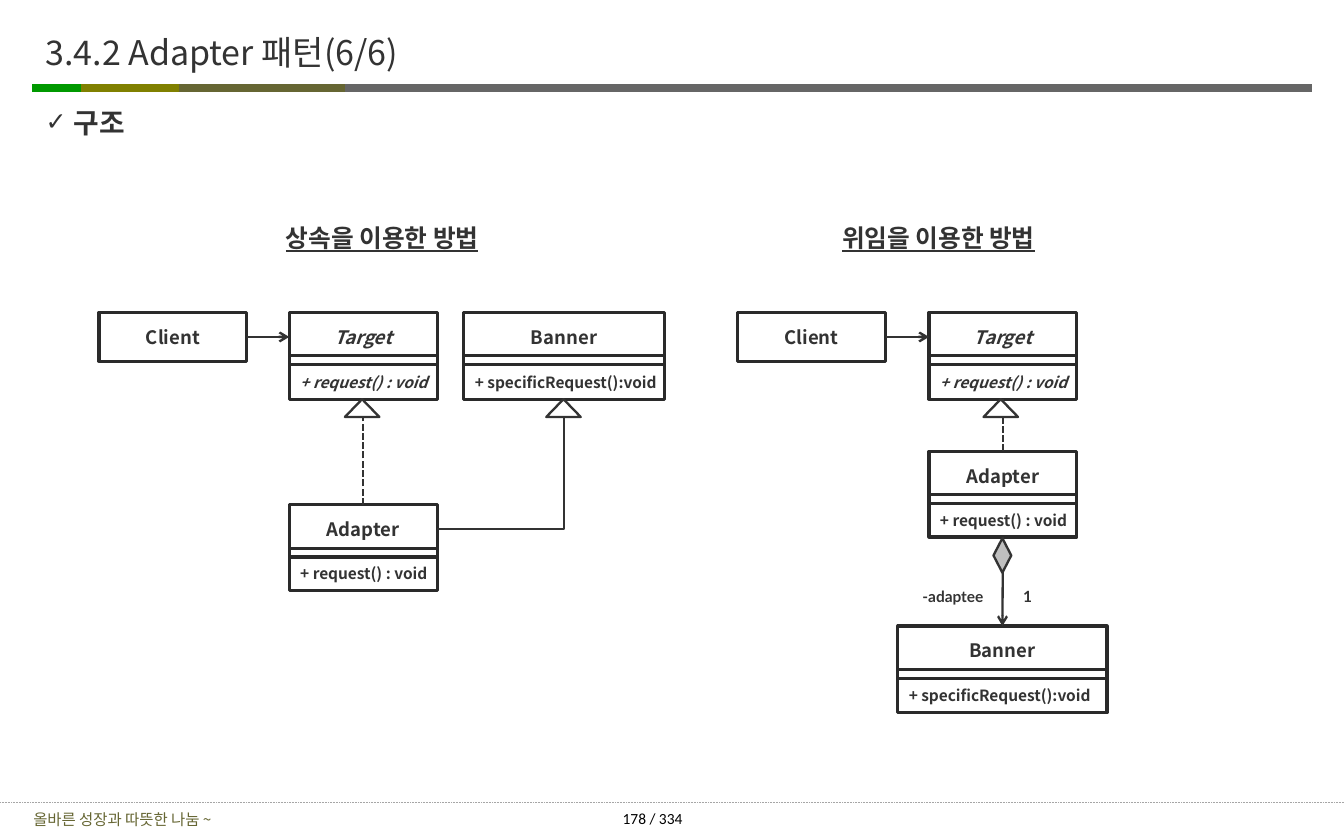
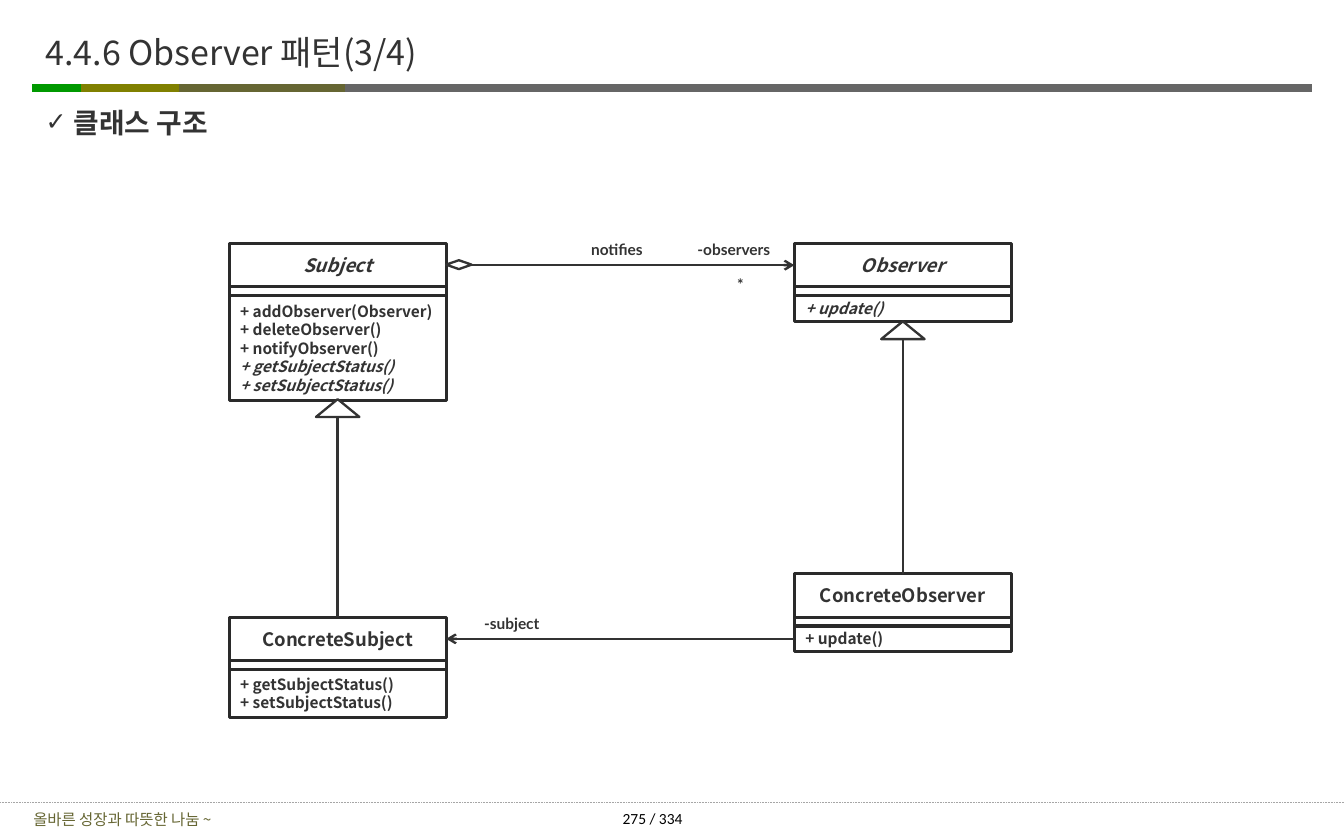
from lxml import etree
from pptx import Presentation, util as u
from pptx.dml.color import RGBColor
from pptx.enum import dml, shapes, text
from pptx.oxml.ns import qn

PX = 9144  # 100 px to the inch
KR, LATO = "Noto Sans CJK KR", "Lato"
INK, BORDER, WHITE, OLIVE = "333333", "2A2A2A", "FFFFFF", "666633"
LEFT, CENTER = text.PP_ALIGN.LEFT, text.PP_ALIGN.CENTER
RECT, TRIANGLE = shapes.MSO_SHAPE.RECTANGLE, shapes.MSO_SHAPE.ISOSCELES_TRIANGLE
DIAMOND, DECISION = shapes.MSO_SHAPE.DIAMOND, shapes.MSO_SHAPE.FLOWCHART_DECISION
DASH, DOT = dml.MSO_LINE.SQUARE_DOT, dml.MSO_LINE.ROUND_DOT
TOP, WEST, BOTTOM, EAST = range(4)
rgb = RGBColor.from_string


def write(sp, lines, size=10, font=KR, color=INK, bold=True, italic=False, underline=False,
          align=CENTER, anchor=text.MSO_ANCHOR.MIDDLE, wrap=False, inset=None,
          spacing=None, bullet=None):
    """Fill a shape with one paragraph per line; a leading "/" makes a line italic."""
    tf = sp.text_frame
    tf.word_wrap, tf.vertical_anchor = wrap, anchor
    tf.auto_size = text.MSO_AUTO_SIZE.NONE
    if inset is not None:
        tf.margin_left = tf.margin_right = tf.margin_top = tf.margin_bottom = inset * PX
    for i, line in enumerate(lines):
        p = tf.add_paragraph() if i else tf.paragraphs[0]
        p.alignment, p.space_before = align, u.Pt(0)
        if spacing:
            p.line_spacing = u.Pt(spacing)
        if bullet:
            pPr = p._p.get_or_add_pPr()
            pPr.set("marL", str(25 * PX))
            pPr.set("indent", str(-25 * PX))
            clr = etree.SubElement(pPr, qn("a:buClr"))
            etree.SubElement(clr, qn("a:srgbClr"), val=color)
            etree.SubElement(pPr, qn("a:buSzPct"), val="90000")
            etree.SubElement(pPr, qn("a:buChar"), char=bullet)
        r = p.add_run()
        r.text = line.lstrip("/")
        f = r.font
        f.size, f.name, f.color.rgb = u.Pt(size), font, rgb(color)
        f.bold, f.italic, f.underline = bold, italic or line.startswith("/"), underline
        etree.SubElement(r._r.get_or_add_rPr(), qn("a:ea"), typeface=KR)


def box(s, kind, at, border=BORDER, width=2, fill=WHITE):
    sp = s.shapes.add_shape(kind, *(v * PX for v in at))
    sp.shadow.inherit = False
    sp.fill.solid()
    sp.fill.fore_color.rgb = rgb(fill)
    sp.line.color.rgb, sp.line.width = rgb(border), u.Pt(width)
    return sp


# start, end, colour, width, dash
RULES = [
    ((298, 79), (1179, 79), "666666", 5, None),
    ((29, 79), (109, 79), "009900", 5, None),
    ((73, 79), (166, 79), "808000", 5, None),
    ((161, 79), (310, 79), OLIVE, 5, None),
    ((0, 722), (1208, 722), "A6A6A6", 0.5, DOT),
]

# classes: key, x, y, width, name, operations, height of operations
# links: start class, part, side, end class, part, side, dash, arrow
# (part 0 is the name box, part -1 the operations box)
# labels: text, left, top, width, height, size
SLIDES = [
    dict(
        title="3.4.2 Adapter 패턴(6/6)", topic="구조", page="178 / 334", head=44, divider=9,
        classes=[
            ("client", 89, 281, 133, "Client", [], 0),
            ("target", 260, 281, 133, "/Target", ["/+ request() : void"], 31),
            ("banner", 417, 281, 180, "Banner", ["+ specificRequest():void"], 31),
            ("adapter", 260, 454, 133, "Adapter", ["+ request() : void"], 30),
            ("client2", 663, 281, 133, "Client", [], 0),
            ("target2", 835, 281, 133, "/Target", ["/+ request() : void"], 31),
            ("adapter2", 835, 406, 133, "Adapter", ["+ request() : void"], 30),
            ("banner2", 807, 563, 188, "Banner", ["+ specificRequest():void"], 31),
        ],
        links=[
            ("client", 0, EAST, "target", 0, WEST, None, True),
            ("adapter", 0, TOP, "target", -1, BOTTOM, DASH, False),
            ("adapter", 0, EAST, "banner", -1, BOTTOM, None, False),
            ("client2", 0, EAST, "target2", 0, WEST, None, True),
            ("adapter2", 0, TOP, "target2", -1, BOTTOM, DASH, False),
            ("adapter2", -1, BOTTOM, "banner2", 0, TOP, None, True),
        ],
        markers=[
            (TRIANGLE, (310, 359, 31, 16), WHITE),
            (TRIANGLE, (491, 359, 31, 16), WHITE),
            (TRIANGLE, (884, 359, 31, 16), WHITE),
            (DIAMOND, (893, 484, 16, 31), "BFBFBF"),
        ],
        labels=[
            ("상속을 이용한 방법", 237, 195, 213, 37, 16),
            ("위임을 이용한 방법", 737, 195, 213, 37, 16),
            ("-adaptee", 815, 523, 83, 27, 10),
            ("1", 909, 523, 29, 27, 10),
        ],
    ),
    dict(
        title="4.4.6 Observer 패턴(3/4)", topic="클래스 구조", page="275 / 334", head=39, divider=8,
        classes=[
            ("subject", 206, 219, 195, "/Subject",
             ["+ addObserver(Observer)", "+ deleteObserver()", "+ notifyObserver()",
              "/+ getSubjectStatus()", "/+ setSubjectStatus()"], 94),
            ("observer", 714, 219, 195, "/Observer", ["/+ update()"], 23),
            ("concrete subject", 206, 555, 195, "ConcreteSubject",
             ["+ getSubjectStatus()", "+ setSubjectStatus()"], 43),
            ("concrete observer", 714, 516, 195, "ConcreteObserver", ["+ update()"], 23),
        ],
        links=[
            ("subject", 0, EAST, "observer", 0, WEST, None, True),
            ("concrete subject", 0, TOP, "subject", -1, BOTTOM, None, False),
            ("concrete observer", 0, TOP, "observer", -1, BOTTOM, None, False),
            ("concrete observer", -1, WEST, "concrete subject", 0, EAST, None, True),
        ],
        markers=[
            (TRIANGLE, (284, 359, 39, 16), WHITE),
            (TRIANGLE, (792, 289, 39, 16), WHITE),
            (DECISION, (401, 234, 23, 8), WHITE),
        ],
        labels=[
            ("notifies", 518, 211, 73, 27, 10),
            ("-observers", 612, 211, 95, 27, 10),
            ("*", 651, 242, 29, 27, 10),
            ("-subject", 421, 547, 78, 27, 10),
        ],
    ),
]

prs = Presentation()
prs.slide_width, prs.slide_height = 1208 * PX, 750 * PX

for page in SLIDES:
    s = prs.slides.add_slide(prs.slide_layouts[1])
    title, body = s.placeholders
    for sp, at in ((title, (37, 15, 1000, 63)), (body, (37, 91, 1150, 123))):
        sp.left, sp.top, sp.width, sp.height = (v * PX for v in at)
    write(title, [page["title"]], size=22, bold=False, align=LEFT, wrap=True, inset=4)
    write(body, [page["topic"]], size=18, align=LEFT, anchor=text.MSO_ANCHOR.TOP,
          wrap=True, inset=4, bullet="✓")

    parts = {}
    for key, x, y, w, name, operations, h in page["classes"]:
        rows = [(y, page["head"])]
        if operations:
            rows += [(y + 39, page["divider"]), (y + 47, h)]
        parts[key] = [box(s, RECT, (x, top, w, height)) for top, height in rows]
        write(parts[key][0], [name], size=12)
        if operations:
            write(parts[key][-1], operations, align=LEFT, spacing=12)

    lines = []
    for start, end, color, width, dash in RULES:
        cn = s.shapes.add_connector(shapes.MSO_CONNECTOR.STRAIGHT,
                                    *(v * PX for v in start + end))
        lines.append((cn, color, width, dash, False))
    for start, part, side, end, end_part, end_side, dash, arrow in page["links"]:
        turns = side % 2 != end_side % 2
        kind = shapes.MSO_CONNECTOR.ELBOW if turns else shapes.MSO_CONNECTOR.STRAIGHT
        cn = s.shapes.add_connector(kind, 0, 0, 0, 0)
        cn.begin_connect(parts[start][part], side)
        cn.end_connect(parts[end][end_part], end_side)
        if turns:
            cn._element.spPr.find(qn("a:prstGeom")).set("prst", "bentConnector2")
        lines.append((cn, INK, 1.5, dash, arrow))
    for cn, color, width, dash, arrow in lines:
        cn.line.color.rgb, cn.line.width = rgb(color), u.Pt(width)
        if dash:
            cn.line.dash_style = dash
        if arrow:
            etree.SubElement(cn.line._get_or_add_ln(), qn("a:tailEnd"), type="arrow")
        etree.SubElement(cn._element.spPr, qn("a:effectLst"))

    for kind, at, fill in page["markers"]:
        box(s, kind, at, border=INK, width=1.5, fill=fill)

    captions = [(label, at, dict(size=size, font=LATO, underline=size > 10))
                for label, *at, size in page["labels"]]
    captions += [
        ("올바른 성장과 따뜻한 나눔 ~", (0, 724, 220, 26), dict(color=OLIVE, bold=False)),
        (page["page"], (525, 722, 123, 27),
         dict(font="Calibri", color="000000", bold=False)),
    ]
    for caption, at, fmt in captions:
        write(s.shapes.add_textbox(*(v * PX for v in at)), [caption], **fmt)

prs.save("out.pptx")
